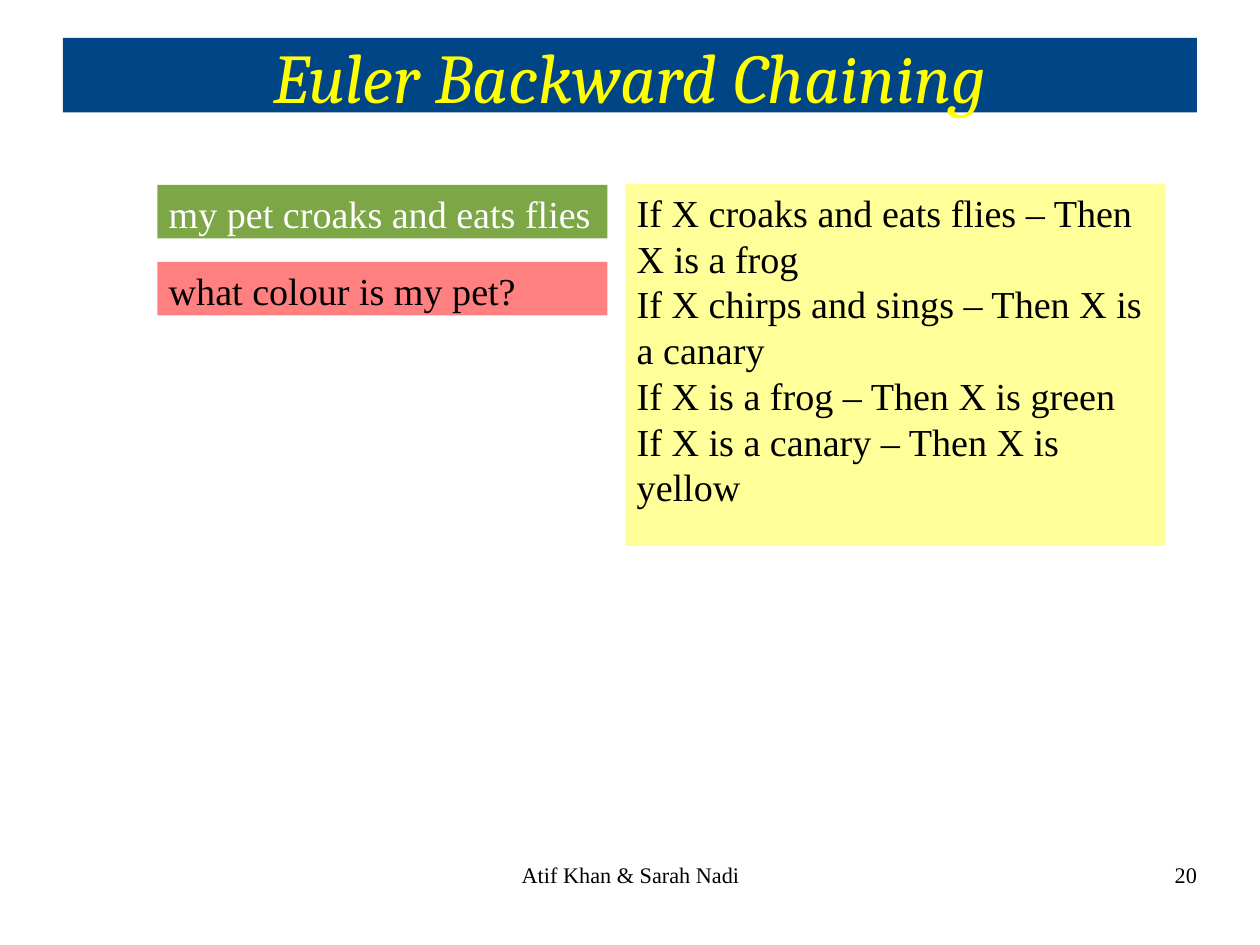
"""Build the Euler backward chaining slide."""
import pptx
import pptx.dml.color
import pptx.enum.shapes
import pptx.enum.text
import pptx.util
from pptx.util import Cm

COLOURS = {
    "title_bar": "004586",
    "title_text": "FFFF00",
    "rules": "FFFF99",
    "fact": "7DA647",
    "question": "FF8080",
    "light": "FFFFFF",
    "dark": "000000",
}
ALIGN = pptx.enum.text.PP_ALIGN
ANCHOR = pptx.enum.text.MSO_ANCHOR
BODY_FONT = "Times New Roman"
RULES = [
    "If X croaks and eats flies – Then X is a frog",
    "If X chirps and sings – Then X is a canary",
    "If X is a frog – Then X is green",
    "If X is a canary – Then X is yellow",
]


def colour(name):
    """Return the named colour."""
    return pptx.dml.color.RGBColor.from_string(COLOURS[name])


def write(box, lines, size, ink="dark", align=ALIGN.LEFT, font=BODY_FONT,
          italic=False, anchor=ANCHOR.TOP, margins=(0, 0)):
    """Fill a box with one paragraph per line and format its runs."""
    frame = box.text_frame
    frame.word_wrap = True
    frame.vertical_anchor = anchor
    frame.margin_left = frame.margin_right = Cm(margins[0])
    frame.margin_top = frame.margin_bottom = Cm(margins[1])
    frame.text = "\n".join(lines)
    for para in frame.paragraphs:
        para.alignment = align
        for span in para.runs:
            span.font.name = font
            span.font.size = pptx.util.Pt(size)
            span.font.italic = italic
            span.font.color.rgb = colour(ink)


def add_panel(page, left, top, width, height, fill):
    """Add a filled rectangle without outline or shadow."""
    box = page.shapes.add_shape(
        pptx.enum.shapes.MSO_SHAPE.RECTANGLE,
        Cm(left), Cm(top), Cm(width), Cm(height))
    box.shadow.inherit = False
    box.fill.solid()
    box.fill.fore_color.rgb = colour(fill)
    box.line.fill.background()
    return box


def add_title(page, text):
    """Add the title bar."""
    box = add_panel(page, 1.4, 0.84, 25.2, 1.66, "title_bar")
    write(box, [text], 44, "title_text", ALIGN.CENTER, "Cambria", True,
          ANCHOR.MIDDLE)


def add_statement(page, lines, left, top, width, height, fill, ink="dark"):
    """Add a coloured panel of statements."""
    box = add_panel(page, left, top, width, height, fill)
    write(box, lines, 24, ink, margins=(0.25, 0.13))


def add_footer(page, text, left, width, align):
    """Add a text box on the footer line."""
    box = page.shapes.add_textbox(Cm(left), Cm(19.13), Cm(width), Cm(1.45))
    write(box, [text], 14, align=align)


def main():
    """Build and save the deck."""
    deck = pptx.Presentation()
    deck.slide_width, deck.slide_height = Cm(28), Cm(21)
    page = deck.slides.add_slide(deck.slide_layouts[6])
    add_title(page, "Euler Backward Chaining")
    add_statement(page, RULES, 13.9, 4.08, 12, 8.05, "rules")
    add_statement(page, ["my pet croaks and eats flies"],
                  3.5, 4.11, 10, 1.19, "fact", "light")
    add_statement(page, ["what colour is my pet?"],
                  3.5, 5.82, 10, 1.19, "question")
    add_footer(page, "Atif Khan & Sarah Nadi", 9.58, 8.87, ALIGN.CENTER)
    add_footer(page, "20", 20.08, 6.52, ALIGN.RIGHT)
    deck.save("out.pptx")


if __name__ == "__main__":
    main()
